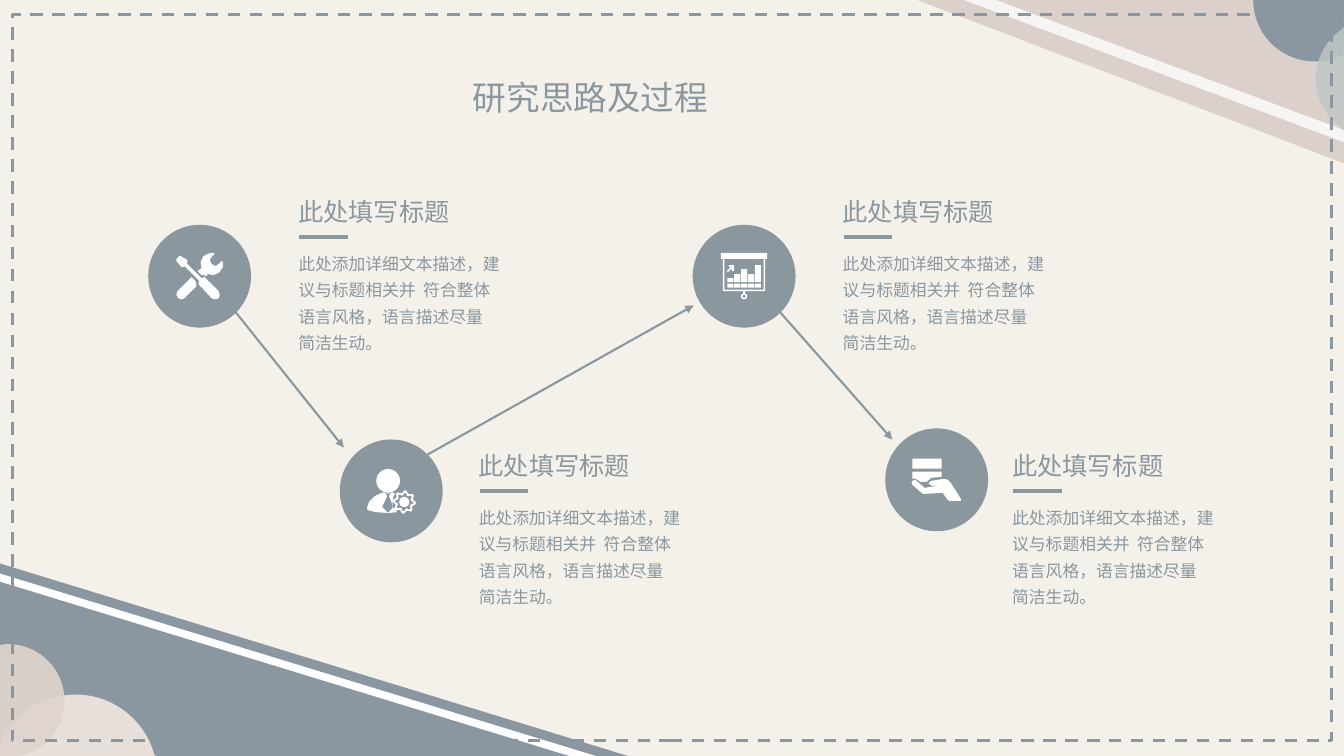
from math import cos, pi, sin

from lxml.etree import SubElement
from pptx import Presentation
from pptx.dml.color import RGBColor
from pptx.enum.dml import MSO_LINE
from pptx.enum.shapes import MSO_CONNECTOR as Conn, MSO_SHAPE as Shape
from pptx.enum.text import MSO_ANCHOR as Anchor, MSO_AUTO_SIZE as Fit, PP_ALIGN as Align
from pptx.oxml.ns import qn
from pptx.util import Inches, Pt

WIDE, HIGH = 13.33, 7.5
FONT = "Noto Sans CJK SC"
INK, SLATE, ROSE, WHITE = "8A979E", "8A96A0", "DBD0CB", "FFFFFF"
HEAD = "此处填写标题"
BODY = ["此处添加详细文本描述，建议与标题相关并  符合整体语言风格，语言描述尽量", "简洁生动。"]


def color(code):
    return RGBColor.from_string(code)


# Outlines, each a list of points
def rect(x, y, w, h):
    return [(x, y), (x + w, y), (x + w, y + h), (x, y + h)]


def disc(x, y, r, steps=72):
    turns = [2 * pi * i / steps for i in range(steps)]
    return [(x + r * cos(t), y + r * sin(t)) for t in turns]


def cog(x, y, r, teeth=8):
    points = []
    for i in range(4 * teeth):
        turn, reach = pi * i / (2 * teeth), r if i % 4 < 2 else r - 2.2
        points.append((x + reach * cos(turn), y + reach * sin(turn)))
    return points


def clip(points):
    return [(min(max(x, 0), WIDE), min(max(y, 0), HIGH)) for x, y in points]


# Icons: outlines in hundredths of an inch
TOOLS = [
    [(15, 24), (19, 28), (20, 33), (8, 45), (5, 46), (2, 45), (0, 42), (1, 38)],
    [(4, 3), (11, 7), (11, 10), (10, 10), (25, 25), (28, 24), (42, 38), (43, 42),
     (42, 45), (38, 46), (35, 45), (22, 31), (22, 29), (23, 28), (8, 13), (7, 14),
     (5, 14), (0, 8), (0, 6), (3, 3)],
    [(34, 0), (37, 0), (38, 1), (35, 4), (33, 7), (35, 11), (39, 13), (42, 11),
     (45, 8), (46, 9), (46, 14), (43, 19), (37, 22), (31, 21), (30, 23), (27, 22),
     (25, 22), (21, 18), (25, 15), (24, 9), (27, 3), (31, 1)],
]
STAFF = [
    disc(21, 12, 11.7),
    [(16, 23.5), (21, 25), (26, 23.5), (28, 25), (26, 28), (25, 33), (26, 38),
     (30, 43), (21, 44), (8, 43), (1, 41), (0, 39), (2, 33), (8, 27)],
    [(18, 24.5), (20, 27), (15, 38), (21, 44), (26, 38), (22, 27), (24, 24.5)],
    cog(37, 33, 11.5), cog(37, 33, 9), disc(37, 33, 5),
]
BOARD = [
    rect(0, 0, 46, 6), rect(2, 6, 42, 32), rect(3.5, 6, 39, 30.5),
    rect(22, 38, 2, 2), disc(23, 43, 3), disc(23, 43, 1.5),
    [(6, 18), (10, 14), (8, 14), (8, 12), (13, 12), (13, 18), (11, 18), (11, 15.5),
     (7, 19)],
]
for col, top in enumerate([25, 21, 16, 21, 12]):
    left = 6.5 + 6.8 * col
    BOARD += [rect(left, top, 6, 29 - top), rect(left, 30.5, 6, 4)]
HAND = [
    rect(1, 0, 29, 10),
    [(1, 13), (30, 13), (30, 18), (20, 19), (15, 23), (9, 23), (6, 21), (3, 19.5),
     (1, 20)],
    [(32, 20), (36, 21), (39, 24), (49, 40), (49, 42), (38, 42), (36, 41), (31, 34),
     (12, 35), (10, 34), (1, 26), (0, 24), (1, 22), (3, 21), (5, 22), (13, 29),
     (31, 26), (21, 27), (17, 25), (18, 23), (20, 22)],
]

# Each step: circle centre, icon, icon corner, text corner
STEPS = [
    ((1.98, 2.74), TOOLS, (1.75, 2.51), (2.86, 1.9)),
    ((3.88, 4.87), STAFF, (3.64, 4.65), (4.65, 4.42)),
    ((7.38, 2.74), BOARD, (7.15, 2.51), (8.26, 1.9)),
    ((9.29, 4.76), HAND, (9.04, 4.55), (9.94, 4.42)),
]
ARROWS = [((2.34, 3.1), (3.41, 4.44)), ((4.24, 4.51), (6.88, 3.03)),
          ((7.74, 3.1), (8.85, 4.36))]


def paint(shape, fill, alpha=100):
    shape.shadow.inherit = False
    shape.fill.solid()
    shape.fill.fore_color.rgb = color(fill)
    shape.line.fill.background()
    if alpha < 100:
        tint = shape._element.spPr.find(".//" + qn("a:srgbClr"))
        SubElement(tint, qn("a:alpha")).set("val", str(alpha * 1000))


def trace(slide, loops, fill, alpha=100):
    loops = [[(Inches(x), Inches(y)) for x, y in loop] for loop in loops]
    pen = slide.shapes.build_freeform(*loops[0][0], scale=1.0)
    for i, loop in enumerate(loops):
        if i:
            pen.move_to(*loop[0])
        pen.add_line_segments(loop[1:], close=True)
    paint(pen.convert_to_shape(), fill, alpha)


def stroke(slide, start, end, width, arrow=False):
    ends = [Inches(n) for n in start + end]
    line = slide.shapes.add_connector(Conn.STRAIGHT, *ends)
    line.line.color.rgb = color(INK)
    line.line.width = Pt(width)
    props = line._element.spPr
    if arrow:
        SubElement(props.find(qn("a:ln")), qn("a:tailEnd")).set("type", "triangle")
    SubElement(props, qn("a:effectLst"))


def write(frame, lines, size, align=None, space=None):
    frame.word_wrap = True
    frame.auto_size = Fit.SHAPE_TO_FIT_TEXT
    frame.vertical_anchor = Anchor.TOP
    for i, words in enumerate(lines):
        para = frame.add_paragraph() if i else frame.paragraphs[0]
        para.alignment, para.line_spacing = align, space
        run = para.add_run()
        run.text = words
        run.font.size, run.font.name = Pt(size), FONT
        run.font.color.rgb = color(INK)
        SubElement(run.font._element, qn("a:ea")).set("typeface", FONT)


def label(slide, box, lines, size, space=None):
    area = slide.shapes.add_textbox(*[Inches(n) for n in box])
    write(area.text_frame, lines, size, space=space)


# Corner art and dashed frame
def backdrop(slide):
    trace(slide, [[(9.1, 0), (WIDE, 0), (WIDE, 1.62)]], ROSE)
    trace(slide, [[(9.56, 0), (9.88, 0), (WIDE, 1.29), (WIDE, 1.41)]], WHITE, 80)
    trace(slide, [clip(disc(13.04, 0, 0.61))], SLATE)
    trace(slide, [clip(disc(13.64, 0.78, 0.59))], "BFC6C6", 85)
    trace(slide, [[(0, 5.59), (6.23, HIGH), (0, HIGH)]], SLATE)
    trace(slide, [[(0, 5.69), (5.91, HIGH), (5.65, HIGH), (0, 5.77)]], WHITE)
    trace(slide, [clip(disc(0.75, 7.7, 0.81))], "E7DFD9")
    trace(slide, [clip(disc(0.08, 6.95, 0.56))], "DFD5CD", 91)
    box = [Inches(n) for n in (0.12, 0.14, 13.09, 7.21)]
    frame = slide.shapes.add_shape(Shape.RECTANGLE, *box)
    frame.shadow.inherit = False
    frame.fill.background()
    frame.line.color.rgb = color(SLATE)
    frame.line.width = Pt(2.25)
    frame.line.dash_style = MSO_LINE.DASH


def heading(slide, x, y, w, h):
    title = slide.shapes.title
    title.left, title.top, title.width, title.height = [Inches(n) for n in (x, y, w, h)]
    write(title.text_frame, ["研究思路及过程"], 24, Align.JUSTIFY)


# Circle with its icon
def badge(slide, centre, icon, corner, size=1.02):
    box = [Inches(n - size / 2) for n in centre] + [Inches(size)] * 2
    paint(slide.shapes.add_shape(Shape.OVAL, *box), INK)
    x, y = corner
    trace(slide, [[(x + u / 100, y + v / 100) for u, v in loop] for loop in icon], WHITE)


# Step title, rule and text
def note(slide, x, y):
    label(slide, (x, y + 0.51, 2.21, 1.13), BODY, 12, 1.3)
    label(slide, (x, y, 1.83, 0.4), [HEAD], 18)
    stroke(slide, (x + 0.11, y + 0.45), (x + 0.59, y + 0.45), 2.5)


def main():
    deck = Presentation()
    deck.slide_width, deck.slide_height = Inches(WIDE), Inches(HIGH)
    slide = deck.slides.add_slide(deck.slide_layouts[5])
    slide.background.fill.solid()
    slide.background.fill.fore_color.rgb = color("F4F1EB")
    backdrop(slide)
    heading(slide, 4.59, 0.71, 4.15, 0.5)
    for start, end in ARROWS:
        stroke(slide, start, end, 1.5, arrow=True)
    for centre, icon, corner, spot in STEPS:
        badge(slide, centre, icon, corner)
        note(slide, *spot)
    deck.save("out.pptx")


if __name__ == "__main__":
    main()
